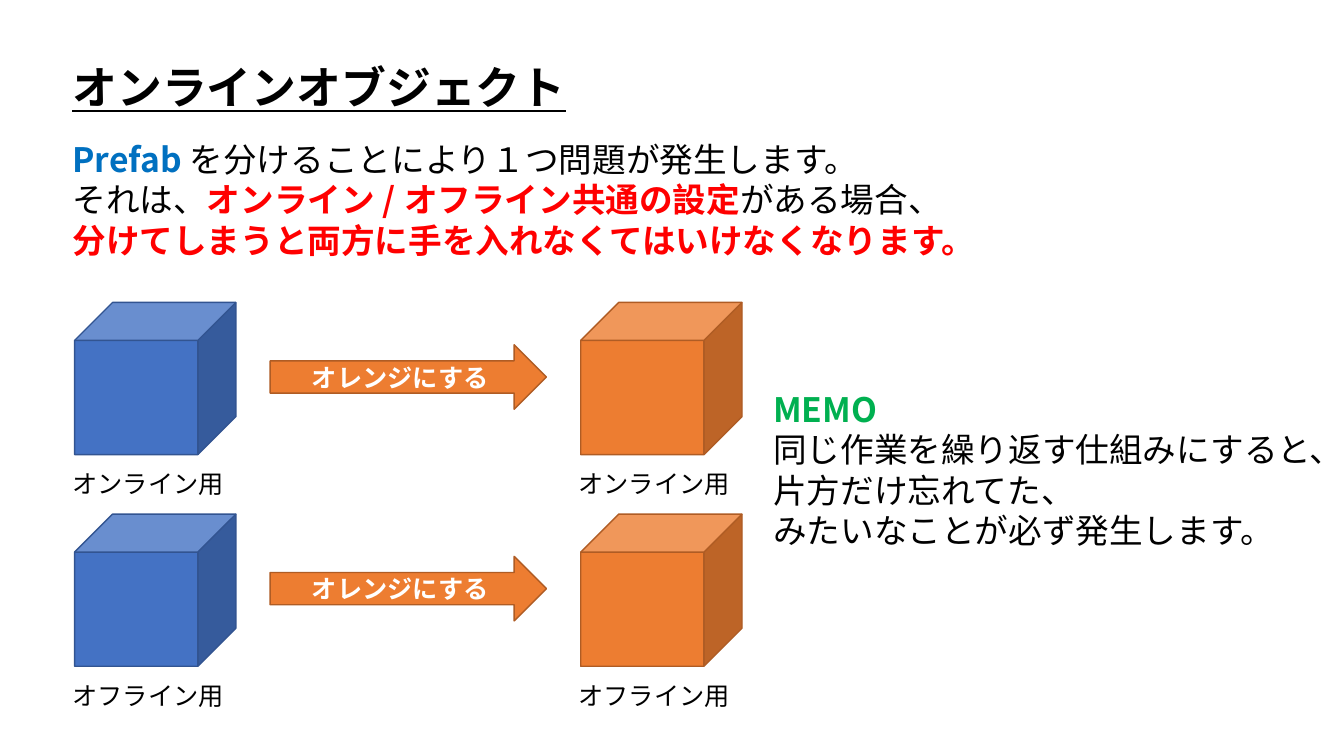
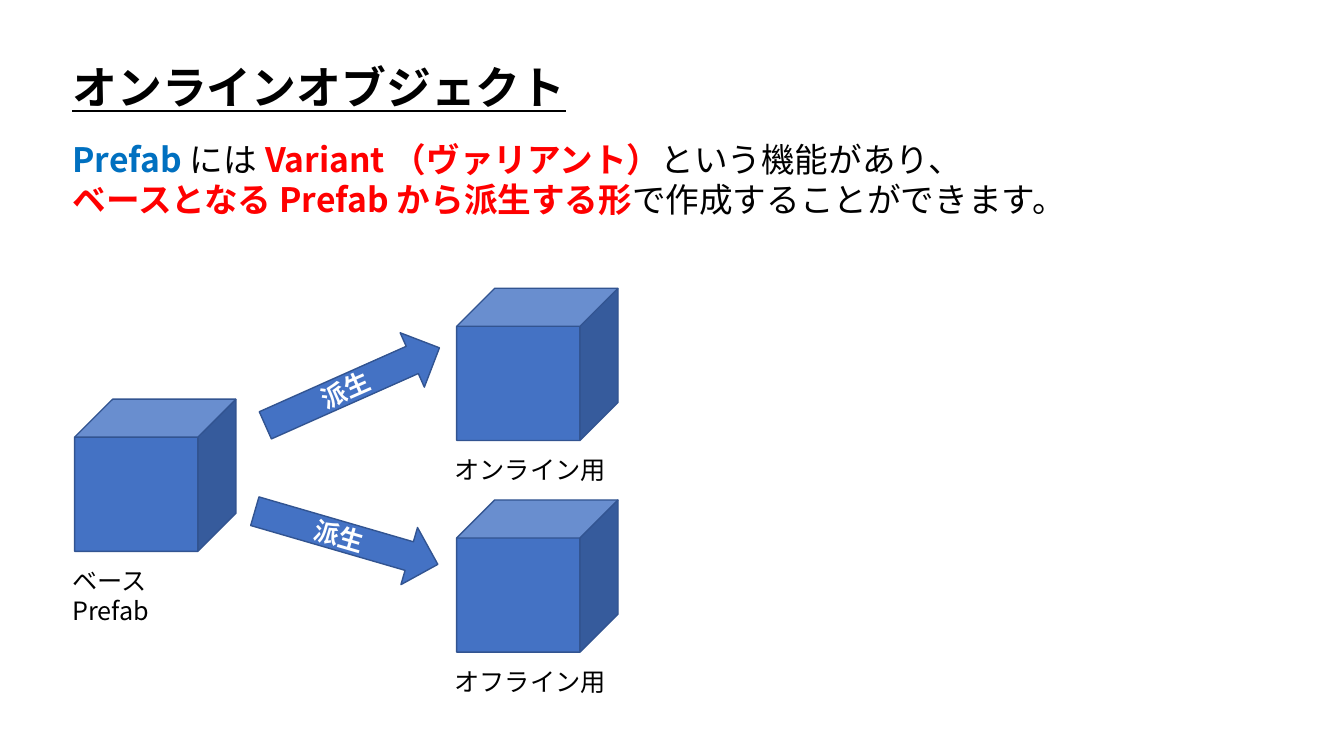
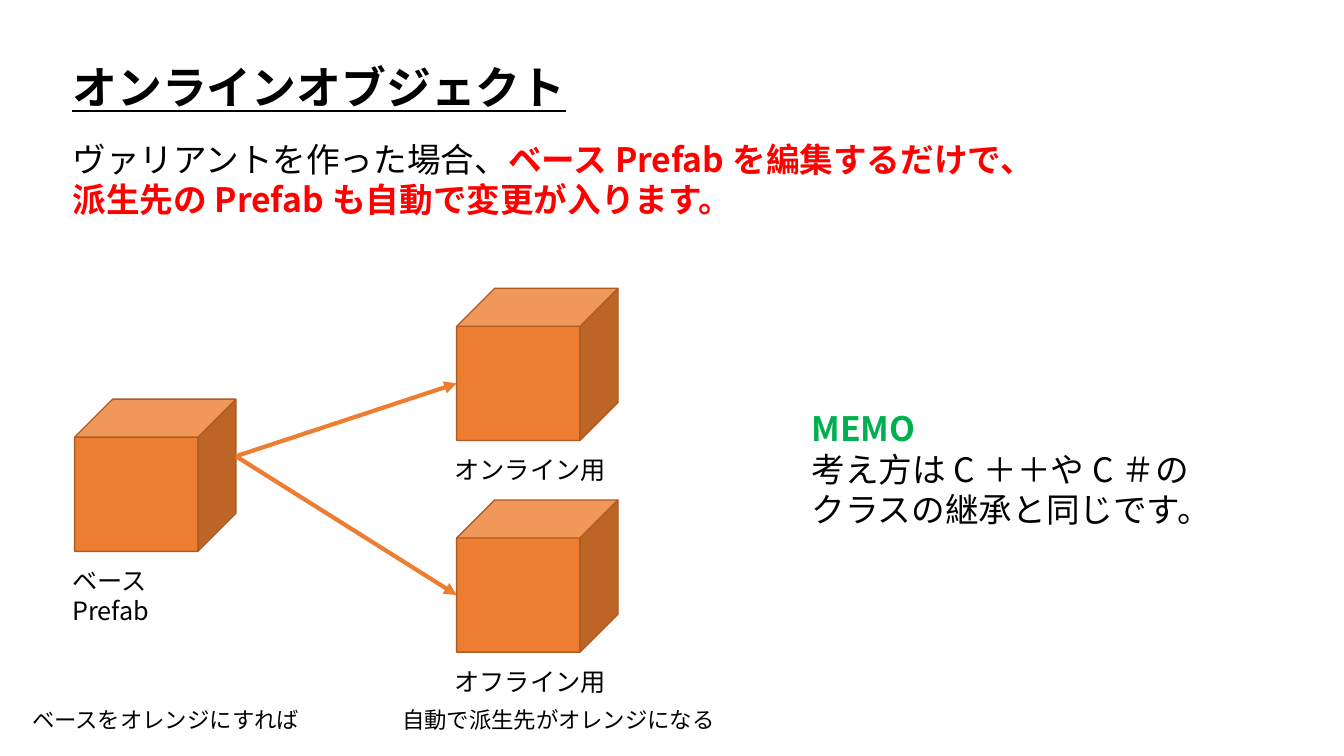
from dataclasses import dataclass

from lxml import etree
from pptx import Presentation
from pptx.dml.color import RGBColor
from pptx.enum import shapes, text
from pptx.oxml.ns import qn
from pptx.util import Inches, Pt

FONT = "Noto Sans CJK JP"
HEX = {
    "black": "000000", "white": "FFFFFF", "red": "FF0000", "sky": "0070C0",
    "green": "00B050", "blue": "4472C4", "navy": "325491",
    "orange": "ED7D31", "rust": "AF5C24",
}
EDGE = {"blue": "navy", "orange": "rust"}
SIDE, TALL = 1.6, 1.51
DEPTH = TALL / 4
ROW = 2.1

Run = tuple[str, str]
Lines = list[list[Run]]


@dataclass
class Cube:
    left: float
    top: float
    name: str
    tint: str

    def right_mid(self) -> tuple[float, float]:
        return self.left + SIDE, self.top + (TALL - DEPTH) / 2

    def left_mid(self) -> tuple[float, float]:
        return self.left, self.top + (TALL + DEPTH) / 2


@dataclass
class Arrow:
    left: float
    top: float
    width: float
    height: float
    label: str
    tint: str
    turn: float = 0


def rgb(name: str) -> RGBColor:
    return RGBColor.from_string(HEX[name])


def style(para, size: int, tint: str, bold: bool) -> None:
    font = para.font
    font.name, font.size, font.bold = FONT, Pt(size), bold
    font.color.rgb = rgb(tint)
    latin = font._element.find(qn("a:latin"))
    east = etree.Element(qn("a:ea"), typeface=FONT)
    latin.addnext(east)


def write(slide, left: float, top: float, width: float, height: float,
          lines: Lines, size: int):
    """Add a text box; coloured runs are bold."""
    box = slide.shapes.add_textbox(
        Inches(left), Inches(top), Inches(width), Inches(height))
    frame = box.text_frame
    frame.word_wrap = True
    for i, runs in enumerate(lines):
        para = frame.paragraphs[0] if i == 0 else frame.add_paragraph()
        tint = runs[0][1]
        style(para, size, tint, tint != "black")
        for words, hue in runs:
            run = para.add_run()
            run.text = words
            if hue != tint:
                run.font.color.rgb = rgb(hue)
                run.font.bold = hue != "black"
    return frame


def label(slide, left: float, top: float, width: float, words: str,
          size: int) -> None:
    frame = write(slide, left, top, width, 0.4, [[("", "black")]], size)
    para = frame.paragraphs[0]
    para.runs[0].text = words.split("\n")[0]
    for rest in words.split("\n")[1:]:
        para.add_line_break()
        para.add_run().text = rest


def paint(shape, tint: str) -> None:
    shape.shadow.inherit = False
    shape.fill.solid()
    shape.fill.fore_color.rgb = rgb(tint)
    shape.line.color.rgb = rgb(EDGE[tint])
    shape.line.width = Pt(1)


def draw_cube(slide, cube: Cube) -> None:
    shape = slide.shapes.add_shape(
        shapes.MSO_SHAPE.CUBE, Inches(cube.left), Inches(cube.top),
        Inches(SIDE), Inches(TALL))
    paint(shape, cube.tint)
    label(slide, cube.left - 0.12, cube.top + 1.6, 1.73, cube.name, 18)


def draw_arrow(slide, arrow: Arrow) -> None:
    shape = slide.shapes.add_shape(
        shapes.MSO_SHAPE.RIGHT_ARROW, Inches(arrow.left), Inches(arrow.top),
        Inches(arrow.width), Inches(arrow.height))
    paint(shape, arrow.tint)
    shape.rotation = arrow.turn
    frame = shape.text_frame
    frame.vertical_anchor = text.MSO_ANCHOR.MIDDLE
    para = frame.paragraphs[0]
    para.alignment = text.PP_ALIGN.CENTER
    style(para, 18, "white", True)
    para.add_run().text = arrow.label


def link(slide, start: Cube, end: Cube) -> None:
    """Draw an arrowed line from the right face to the front face."""
    ends = [Inches(n) for n in start.right_mid() + end.left_mid()]
    line = slide.shapes.add_connector(shapes.MSO_CONNECTOR.STRAIGHT, *ends)
    line.line.color.rgb = rgb(start.tint)
    line.line.width = Pt(3)
    etree.SubElement(line.line._get_or_add_ln(), qn("a:tailEnd"),
                     type="triangle")
    etree.SubElement(line._element.spPr, qn("a:effectLst"))


def pair(left: float, top: float, tint: str) -> list[Cube]:
    names = ("オンライン用", "オフライン用")
    return [Cube(left, top + i * ROW, name, tint)
            for i, name in enumerate(names)]


def family(slide, tint: str) -> tuple[Cube, list[Cube]]:
    """Draw the base cube and the two cubes derived from it."""
    base, kids = Cube(0.74, 3.96, "ベース\nPrefab", tint), pair(4.53, 2.86, tint)
    for cube in [*kids, base]:
        draw_cube(slide, cube)
    return base, kids


def start(deck, width: float, lines: Lines):
    """Add a slide with the shared title and its lead text."""
    slide = deck.slides.add_slide(deck.slide_layouts[6])
    title = write(slide, 0.62, 0.54, 5.14, 0.64,
                  [[("オンラインオブジェクト", "black")]], 32)
    title.paragraphs[0].font.bold = True
    title.paragraphs[0].font.underline = True
    write(slide, 0.62, 1.33, width, 0.1 + 0.4 * len(lines), lines, 24)
    return slide


def memo(slide, left: float, top: float, width: float,
         *notes: str) -> None:
    lines = [[("MEMO", "green")]] + [[(note, "black")] for note in notes]
    write(slide, left, top, width, 0.1 + 0.4 * len(lines), lines, 24)


def split(deck) -> None:
    slide = start(deck, 9.29, [
        [("Prefab", "sky"),
         ("を分けることにより１つ問題が発生します。", "black")],
        [("それは、", "black"), ("オンライン/オフライン共通の設定", "red"),
         ("がある場合、", "black")],
        [("分けてしまうと両方に手を入れなくてはいけなくなります。", "red")],
    ])
    for cube in pair(0.74, 3, "blue") + pair(5.76, 3, "orange"):
        draw_cube(slide, cube)
    for i in range(2):
        draw_arrow(slide, Arrow(2.68, 3.42 + i * ROW, 2.74, 0.64,
                                "オレンジにする", "orange"))
    memo(slide, 7.57, 3.81, 5.92, "同じ作業を繰り返す仕組みにすると、",
         "片方だけ忘れてた、", "みたいなことが必ず発生します。")


def derive(deck) -> None:
    slide = start(deck, 10.05, [
        [("Prefab", "sky"), ("には", "black"),
         ("Variant（ヴァリアント）", "red"), ("という機能があり、", "black")],
        [("ベースとなるPrefabから派生する形", "red"),
         ("で作成することができます。", "black")],
    ])
    family(slide, "blue")
    for left, top, turn in ((2.55, 3.54, 336), (2.49, 5.04, 16.2)):
        draw_arrow(slide, Arrow(left, top, 1.89, 0.59, "派生", "blue", turn))


def edit(deck) -> None:
    slide = start(deck, 9.65, [
        [("ヴァリアントを作った場合、", "black"),
         ("ベースPrefabを編集するだけで、", "red")],
        [("派生先のPrefabも自動で変更が入ります。", "red")],
    ])
    base, kids = family(slide, "orange")
    label(slide, 0.22, 6.96, 2.89, "ベースをオレンジにすれば", 16)
    label(slide, 3.89, 6.96, 3.34, "自動で派生先がオレンジになる", 16)
    for kid in kids:
        link(slide, base, kid)
    memo(slide, 7.95, 4, 4.24, "考え方はC＋＋やC＃の",
         "クラスの継承と同じです。")


def main() -> None:
    deck = Presentation()
    deck.slide_width, deck.slide_height = Inches(13.33), Inches(7.5)
    split(deck)
    derive(deck)
    edit(deck)
    deck.save("out.pptx")


if __name__ == "__main__":
    main()
